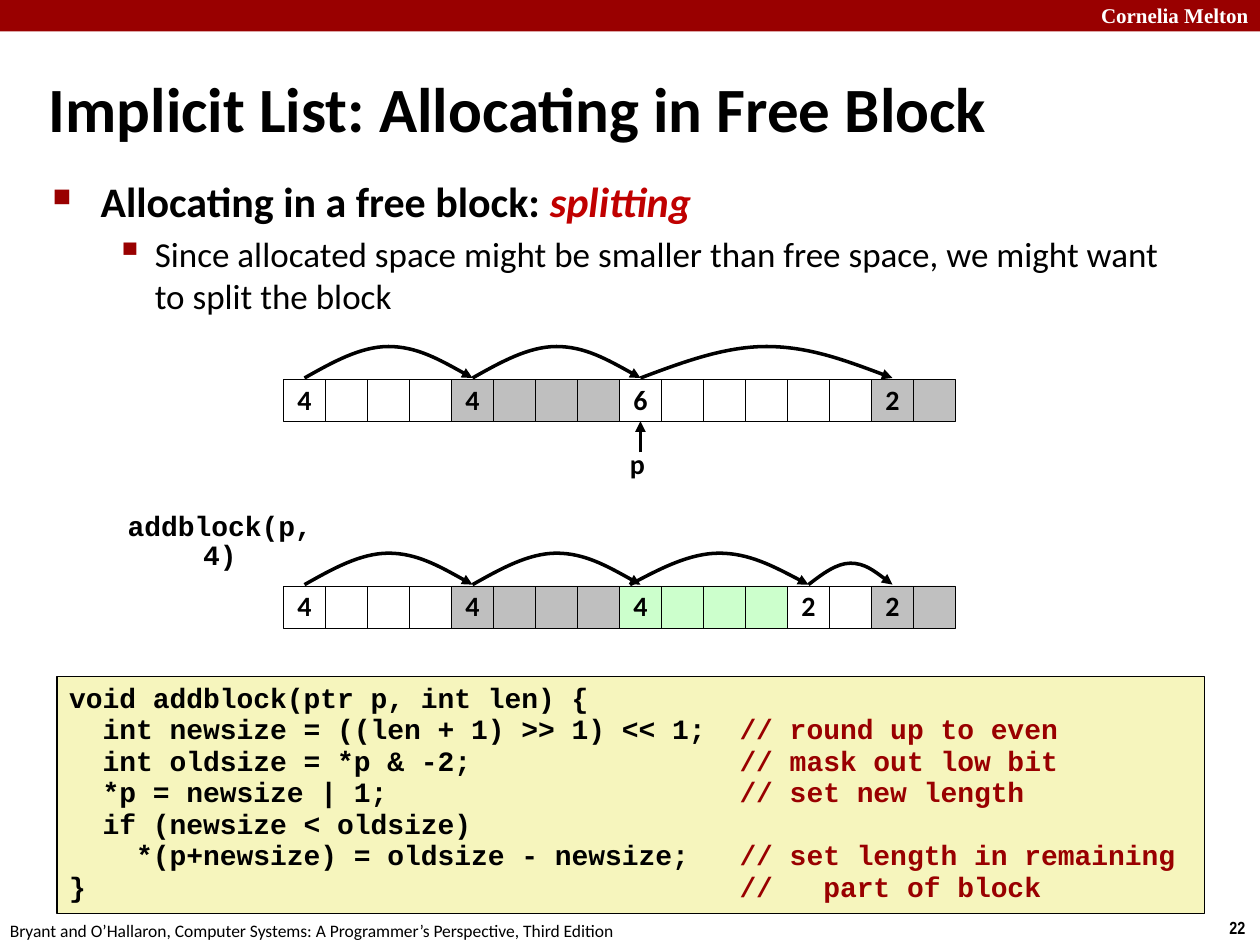
from dataclasses import dataclass

import lxml.etree
import pptx
import pptx.dml.color
import pptx.enum.shapes
import pptx.enum.text
import pptx.oxml
import pptx.oxml.ns
import pptx.util

Inches = pptx.util.Inches
Pt = pptx.util.Pt
RGBColor = pptx.dml.color.RGBColor
Align = pptx.enum.text.PP_ALIGN
Anchor = pptx.enum.text.MSO_ANCHOR
qn = pptx.oxml.ns.qn

BLACK = RGBColor(0x00, 0x00, 0x00)
WHITE = RGBColor(0xFF, 0xFF, 0xFF)
DARK_RED = RGBColor(0x99, 0x00, 0x00)
BRIGHT_RED = RGBColor(0xC0, 0x00, 0x00)
CODE_YELLOW = RGBColor(0xF6, 0xF5, 0xBD)
ALLOCATED_GRAY = RGBColor(0xBF, 0xBF, 0xBF)
LAST_GRAY = RGBColor(0xC0, 0xC0, 0xC0)
NEW_GREEN = RGBColor(0xCC, 0xFF, 0xCC)

CELL = 1 / 3
HEAP_LEFT = 2.25
COMMENT_COLUMN = 40


@dataclass(frozen=True)
class Block:
    words: int
    color: RGBColor


@dataclass(frozen=True)
class Arc:
    start: float
    end: float
    height: float = 0.25


@dataclass(frozen=True)
class Heap:
    top: float
    blocks: tuple
    arcs: tuple


@dataclass(frozen=True)
class CodeLine:
    code: str
    comment: str = ""


BEFORE = Heap(
    3.01,
    (Block(4, WHITE), Block(4, ALLOCATED_GRAY), Block(6, WHITE), Block(2, LAST_GRAY)),
    (Arc(0, 4), Arc(4, 8), Arc(8, 14)),
)
AFTER = Heap(
    4.65,
    (Block(4, WHITE), Block(4, ALLOCATED_GRAY), Block(4, NEW_GREEN),
     Block(2, WHITE), Block(2, LAST_GRAY)),
    (Arc(0, 4), Arc(4, 8), Arc(7.75, 12), Arc(12, 14, 0.17)),
)
CODE = (
    CodeLine("void addblock(ptr p, int len) {"),
    CodeLine("  int newsize = ((len + 1) >> 1) << 1;", "// round up to even"),
    CodeLine("  int oldsize = *p & -2;", "// mask out low bit"),
    CodeLine("  *p = newsize | 1;", "// set new length"),
    CodeLine("  if (newsize < oldsize)"),
    CodeLine("    *(p+newsize) = oldsize - newsize;", "// set length in remaining"),
    CodeLine("}", "//   part of block"),
)


def write(paragraph, text: str, *, size: float = 16, font: str = "Calibri",
          color: RGBColor = BLACK, bold: bool = True, italic: bool = False,
          align=Align.LEFT, spacing: float = 1.0) -> None:
    paragraph.alignment = align
    paragraph.line_spacing = spacing
    run = paragraph.add_run()
    run.text = text
    run.font.size = Pt(size)
    run.font.name = font
    run.font.bold = bold
    run.font.italic = italic
    run.font.color.rgb = color


def add_text_box(slide, left: float, top: float, width: float, height: float,
                 wrap: bool = False, anchor=Anchor.TOP):
    frame = slide.shapes.add_textbox(
        Inches(left), Inches(top), Inches(width), Inches(height)).text_frame
    frame.word_wrap = wrap
    frame.vertical_anchor = anchor
    return frame


def add_rectangle(slide, left: float, top: float, width: float, height: float,
                  fill: RGBColor, line_width: float = 0):
    shape = slide.shapes.add_shape(
        pptx.enum.shapes.MSO_SHAPE.RECTANGLE,
        Inches(left), Inches(top), Inches(width), Inches(height))
    shape.shadow.inherit = False
    shape.fill.solid()
    shape.fill.fore_color.rgb = fill
    if line_width:
        shape.line.color.rgb = BLACK
        shape.line.width = Pt(line_width)
    else:
        shape.line.fill.background()
    return shape


def style_arrow(shape) -> None:
    shape.line.color.rgb = BLACK
    shape.line.width = Pt(2)
    line = shape.line._get_or_add_ln()
    lxml.etree.SubElement(line, qn("a:tailEnd"), type="triangle")


def add_arc(slide, arc: Arc, base: float) -> None:
    start, end = (HEAP_LEFT + (cell + 0.5) * CELL for cell in (arc.start, arc.end))
    builder = slide.shapes.build_freeform(Inches(start), Inches(base))
    builder.add_line_segments(
        [(Inches((start + end) / 2), Inches(base - arc.height)),
         (Inches(end), Inches(base))], close=False)
    shape = builder.convert_to_shape()
    shape.shadow.inherit = False
    shape.fill.background()
    style_arrow(shape)
    outline = shape._element.find(".//" + qn("a:path"))
    for segment in outline.findall(qn("a:lnTo")):
        outline.remove(segment)
    width, height = int(outline.get("w")), int(outline.get("h"))
    for controls in (((1 / 6, 0.5), (1 / 3, 0), (1 / 2, 0)),
                     ((2 / 3, 0), (5 / 6, 0.5), (1, 1))):
        curve = lxml.etree.SubElement(outline, qn("a:cubicBezTo"))
        for x, y in controls:
            lxml.etree.SubElement(curve, qn("a:pt"),
                                  x=str(round(x * width)), y=str(round(y * height)))


def add_heap(slide, heap: Heap) -> list:
    cells = []
    for block in heap.blocks:
        for word in range(block.words):
            cell = add_rectangle(slide, HEAP_LEFT + len(cells) * CELL, heap.top,
                                 CELL, CELL, block.color, 0.25)
            if word == 0:
                cell.text_frame.word_wrap = False
                cell.text_frame.vertical_anchor = Anchor.MIDDLE
                write(cell.text_frame.paragraphs[0], str(block.words),
                      align=Align.CENTER, spacing=0.98)
            cells.append(cell)
    for arc in heap.arcs:
        add_arc(slide, arc, heap.top - 0.01)
    return cells


def add_bullet(paragraph, character: str, percent: int, margin: float, indent: float) -> None:
    properties = paragraph._p.get_or_add_pPr()
    properties.set("marL", str(Inches(margin)))
    properties.set("indent", str(Inches(-indent)))
    color = lxml.etree.SubElement(properties, qn("a:buClr"))
    lxml.etree.SubElement(color, qn("a:srgbClr"), val=str(DARK_RED))
    lxml.etree.SubElement(properties, qn("a:buSzPct"), val=str(percent * 1000))
    lxml.etree.SubElement(properties, qn("a:buChar"), char=character)


def add_pointer(slide, cell) -> None:
    center = cell.left + cell.width // 2
    pointer = slide.shapes.add_connector(
        pptx.enum.shapes.MSO_CONNECTOR.STRAIGHT,
        center, Inches(3.59), center, cell.top + cell.height)
    pointer.end_connect(cell, 2)
    style_arrow(pointer)
    lxml.etree.SubElement(pointer._element.spPr, qn("a:effectLst"))
    write(add_text_box(slide, 4.9, 3.51, 0.32, 0.37).paragraphs[0], "p", spacing=0.98)


def add_code(slide) -> None:
    frame = add_rectangle(slide, 0.45, 5.37, 9.11, 1.88, CODE_YELLOW, 1).text_frame
    frame.word_wrap = True
    frame.vertical_anchor = Anchor.TOP
    for number, line in enumerate(CODE):
        paragraph = frame.add_paragraph() if number else frame.paragraphs[0]
        code = line.code.ljust(COMMENT_COLUMN) if line.comment else line.code
        write(paragraph, code, font="Courier New", spacing=0.94)
        if line.comment:
            write(paragraph, line.comment, font="Courier New", color=DARK_RED, spacing=0.94)


def main() -> None:
    presentation = pptx.Presentation()
    presentation.slide_width = Inches(10)
    presentation.slide_height = Inches(7.5)
    slide = presentation.slides.add_slide(presentation.slide_layouts[6])

    add_rectangle(slide, 0, 0, 10, 0.25, DARK_RED)
    write(add_text_box(slide, 8.64, -0.03, 1.43, 0.3, wrap=True).paragraphs[0],
          "Cornelia Melton", size=12, font="Times New Roman", color=WHITE)
    write(add_text_box(slide, 9.66, 7.23, 0.34, 0.27).paragraphs[0],
          "22", size=10, font="Arial Narrow")
    write(add_text_box(slide, -0.02, 7.25, 5.08, 0.27).paragraphs[0],
          "Bryant and O’Hallaron, Computer Systems: A Programmer’s Perspective, Third Edition",
          size=10, bold=False)
    write(add_text_box(slide, 0.29, 0.54, 9.42, 0.63, True, Anchor.MIDDLE).paragraphs[0],
          "Implicit List: Allocating in Free Block", size=36)

    body = add_text_box(slide, 0.32, 1.34, 9.09, 5.71, wrap=True)
    topic = body.paragraphs[0]
    write(topic, "Allocating in a free block: ", size=24)
    write(topic, "splitting", size=24, color=BRIGHT_RED, italic=True)
    add_bullet(topic, "■", 60, 0.38, 0.38)
    detail = body.add_paragraph()
    detail.level = 1
    detail.space_before = Pt(4)
    write(detail, "Since allocated space might be smaller than free space, "
                  "we might want to split the block", size=20, bold=False)
    add_bullet(detail, "▪", 110, 0.81, 0.31)

    add_code(slide)
    before_cells = add_heap(slide, BEFORE)
    add_pointer(slide, before_cells[8])
    write(add_text_box(slide, 0.75, 4.03, 1.99, 0.33).paragraphs[0],
          "addblock(p, 4)", font="Courier New", align=Align.CENTER, spacing=0.85)
    add_heap(slide, AFTER)
    presentation.save("out.pptx")


if __name__ == "__main__":
    main()
